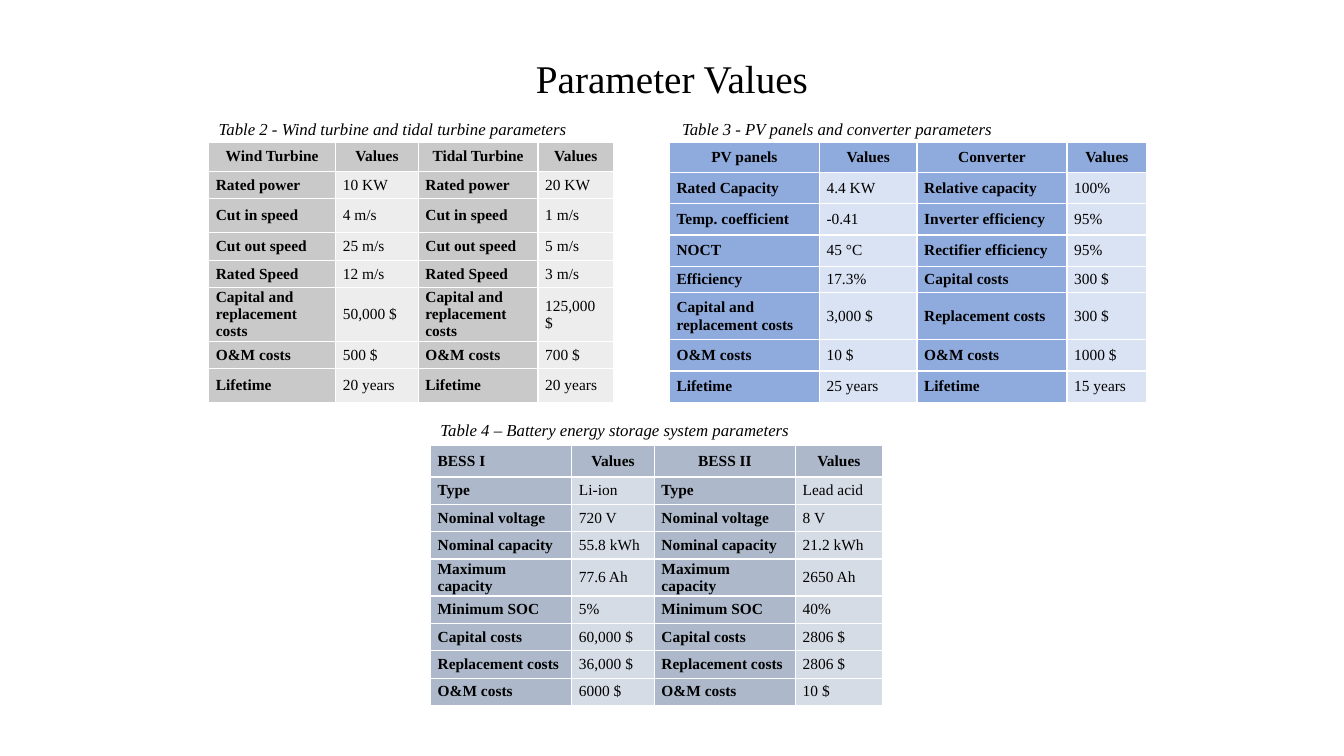
"""Build the Parameter Values slide with its three captioned tables."""
from dataclasses import dataclass

from lxml.etree import SubElement
from pptx import Presentation
from pptx.dml.color import RGBColor
from pptx.enum.text import MSO_ANCHOR as ANCHOR, PP_ALIGN as ALIGN
from pptx.oxml.ns import qn
from pptx.slide import Slide
from pptx.table import _Cell as Cell
from pptx.text.text import _Paragraph as Paragraph
from pptx.util import Cm, Pt

FONT = "Times New Roman"
BLACK, WHITE = "000000", "FFFFFF"
CAPTION_HEIGHT = 0.75


@dataclass
class ParameterTable:
    caption: str
    caption_left: float
    caption_top: float
    caption_width: float
    left: float
    top: float
    widths: list[float]
    heights: list[float]
    label_fill: str
    value_fill: str
    rows: list[tuple[str, str, str, str]]
    first_header: ALIGN = ALIGN.CENTER


TABLES = [
    ParameterTable(
        "Table 2 - Wind turbine and tidal turbine parameters", 5.26, 2.87, 9.37,
        5.26, 3.58, [3.2, 2.08, 3.02, 1.9],
        [0.74, 0.69, 0.84, 0.71, 0.69, 1.35, 0.69, 0.86], "C9C9C9", "EDEDED",
        [
            ("Wind Turbine", "Values", "Tidal Turbine", "Values"),
            ("Rated power", "10 KW", "Rated power", "20 KW"),
            ("Cut in speed", "4 m/s", "Cut in speed", "1 m/s"),
            ("Cut out speed", "25 m/s", "Cut out speed", "5 m/s"),
            ("Rated Speed", "12 m/s", "Rated Speed", "3 m/s"),
            ("Capital and replacement costs", "50,000 $",
             "Capital and replacement costs", "125,000 $"),
            ("O&M costs", "500 $", "O&M costs", "700 $"),
            ("Lifetime", "20 years", "Lifetime", "20 years"),
        ]),
    ParameterTable(
        "Table 3 - PV panels and converter parameters", 16.94, 2.87, 9.37,
        16.87, 3.58, [3.78, 2.46, 3.78, 2.01],
        [0.76, 0.79, 0.79, 0.79, 0.67, 1.18, 0.79, 0.79], "8FAADC", "DAE3F3",
        [
            ("PV panels", "Values", "Converter", "Values"),
            ("Rated Capacity", "4.4 KW", "Relative capacity", "100%"),
            ("Temp. coefficient", "-0.41", "Inverter efficiency", "95%"),
            ("NOCT", "45 °C", "Rectifier efficiency", "95%"),
            ("Efficiency", "17.3%", "Capital costs", "300 $"),
            ("Capital and replacement costs", "3,000 $", "Replacement costs", "300 $"),
            ("O&M costs", "10 $", "O&M costs", "1000 $"),
            ("Lifetime", "25 years", "Lifetime", "15 years"),
        ]),
    ParameterTable(
        "Table 4 – Battery energy storage system parameters", 10.85, 10.46, 10.08,
        10.85, 11.23, [3.56, 2.08, 3.56, 2.18],
        [0.79] + [0.69] * 8, "ADB9CA", "D6DCE5",
        [
            ("BESS I", "Values", "BESS II", "Values"),
            ("Type", "Li-ion", "Type", "Lead acid"),
            ("Nominal voltage", "720 V", "Nominal voltage", "8 V"),
            ("Nominal capacity", "55.8 kWh", "Nominal capacity", "21.2 kWh"),
            ("Maximum capacity", "77.6 Ah", "Maximum capacity", "2650 Ah"),
            ("Minimum SOC", "5%", "Minimum SOC", "40%"),
            ("Capital costs", "60,000 $", "Capital costs", "2806 $"),
            ("Replacement costs", "36,000 $", "Replacement costs", "2806 $"),
            ("O&M costs", "6000 $", "O&M costs", "10 $"),
        ],
        ALIGN.LEFT),
]


def rgb(color: str) -> RGBColor:
    return RGBColor.from_string(color)


def set_text(p: Paragraph, text: str, size: float, align: ALIGN = ALIGN.LEFT,
             bold: bool = False, italic: bool = False) -> None:
    p.text = text
    p.alignment = align
    p.font.name, p.font.size = FONT, Pt(size)
    p.font.bold, p.font.italic = bold, italic
    p.font.color.rgb = rgb(BLACK)


def format_cell(cell: Cell, fill: str) -> None:
    cell.vertical_anchor = ANCHOR.MIDDLE
    cell.margin_left = cell.margin_right = Cm(0.18)
    cell.margin_top = cell.margin_bottom = 0
    tc_pr = cell._tc.get_or_add_tcPr()
    for side in ("a:lnL", "a:lnR", "a:lnT", "a:lnB"):
        ln = SubElement(tc_pr, qn(side), w=str(Pt(1)))
        SubElement(SubElement(ln, qn("a:solidFill")), qn("a:srgbClr"), val=WHITE)
    cell.fill.solid()
    cell.fill.fore_color.rgb = rgb(fill)


def add_title(s: Slide, text: str) -> None:
    sp = s.shapes.title
    sp.left, sp.top, sp.width, sp.height = Cm(2.33), Cm(0.2), Cm(29.21), Cm(3.68)
    sp.text_frame.vertical_anchor = ANCHOR.MIDDLE
    p = sp.text_frame.paragraphs[0]
    set_text(p, text, 28, ALIGN.CENTER)
    p.line_spacing = 0.9


def add_parameter_table(s: Slide, t: ParameterTable) -> None:
    table = s.shapes.add_table(len(t.rows), len(t.widths), Cm(t.left), Cm(t.top),
                               Cm(sum(t.widths)), Cm(sum(t.heights))).table
    table.horz_banding = False
    for column, width in zip(table.columns, t.widths):
        column.width = Cm(width)
    for i, (row, height, texts) in enumerate(zip(table.rows, t.heights, t.rows)):
        row.height = Cm(height)
        for j, (cell, text) in enumerate(zip(row.cells, texts)):
            label = i == 0 or j % 2 == 0
            align = ALIGN.LEFT if i else t.first_header if j == 0 else ALIGN.CENTER
            format_cell(cell, t.label_fill if label else t.value_fill)
            set_text(cell.text_frame.paragraphs[0], text, 11, align, bold=label)


def add_caption(s: Slide, t: ParameterTable) -> None:
    sp = s.shapes.add_textbox(Cm(t.caption_left), Cm(t.caption_top),
                              Cm(t.caption_width), Cm(CAPTION_HEIGHT))
    sp.text_frame.word_wrap = True
    set_text(sp.text_frame.paragraphs[0], t.caption, 12, italic=True)


def main() -> None:
    prs = Presentation()
    prs.slide_width, prs.slide_height = Cm(33.87), Cm(19.05)
    s = prs.slides.add_slide(prs.slide_layouts[5])
    add_title(s, "Parameter Values")
    for t in TABLES:
        add_parameter_table(s, t)
        add_caption(s, t)
    prs.save("out.pptx")


if __name__ == "__main__":
    main()
